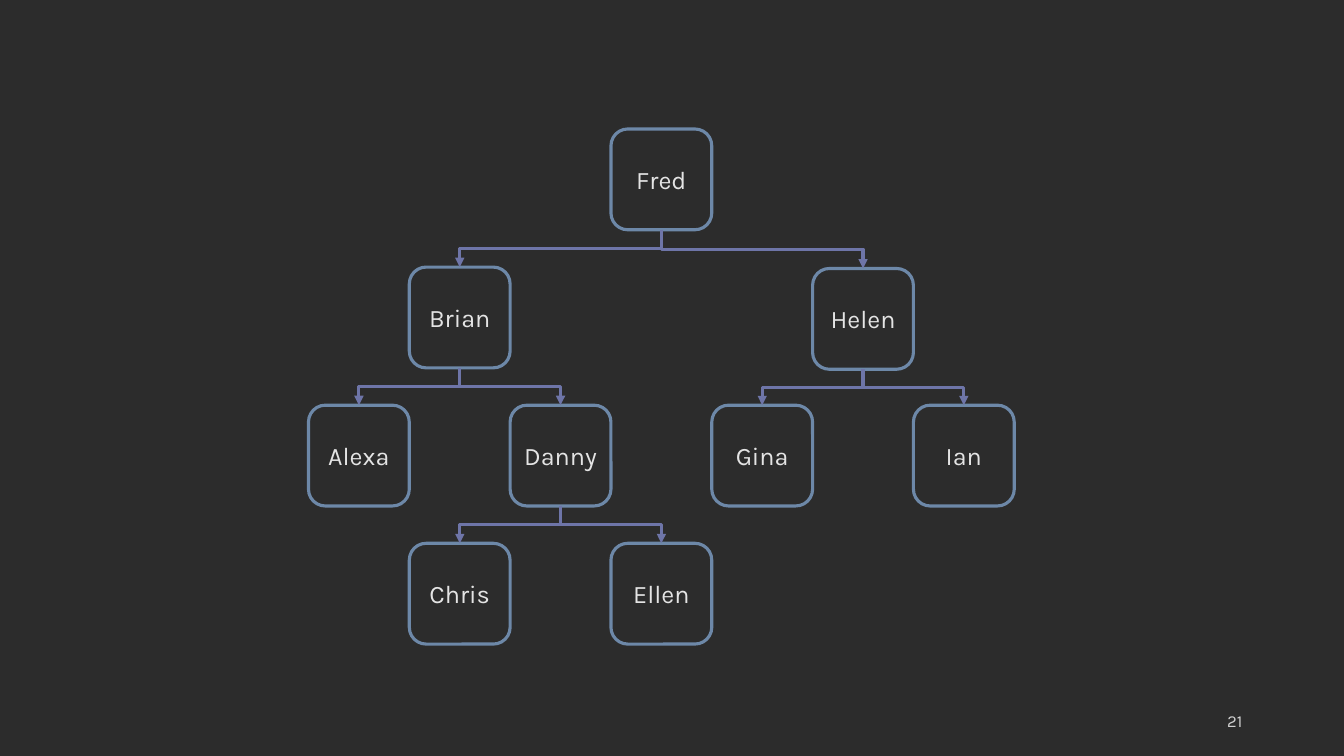
from lxml import etree
from pptx import Presentation, util as u
from pptx.dml.color import RGBColor
from pptx.enum import shapes, text
from pptx.oxml.ns import qn

BACKGROUND = RGBColor(0x2C, 0x2C, 0x2C)
NODE_LINE = RGBColor(0x6D, 0x88, 0xA8)
BRANCH_LINE = RGBColor(0x6E, 0x75, 0xA8)
NODE_TEXT = RGBColor(0xE4, 0xE4, 0xE4)
NUMBER_TEXT = RGBColor(0xD1, 0xD1, 0xD1)

LEFT, TOP = 3.06, 1.28
COLUMN, ROW, SIDE = 1.0, 1.37, 1.0
STROKE = u.Pt(2.25)

people = {
    "Alexa": (0, 2),
    "Brian": (1, 1),
    "Chris": (1, 3),
    "Danny": (2, 2),
    "Fred": (3, 0),
    "Ellen": (3, 3),
    "Gina": (4, 2),
    "Helen": (5, 1.01),
    "Ian": (6, 2),
}
children = {
    "Fred": ("Brian", "Helen"),
    "Brian": ("Alexa", "Danny"),
    "Danny": ("Chris", "Ellen"),
    "Helen": ("Gina", "Ian"),
}


def write(holder, words, align, size, color):
    frame = holder.text_frame
    frame.word_wrap = True
    frame.vertical_anchor = text.MSO_ANCHOR.MIDDLE
    line = frame.paragraphs[0]
    line.text = words
    line.alignment = align
    for key, value in {"name": "Karla", "size": u.Pt(size)}.items():
        setattr(line.runs[0].font, key, value)
    line.runs[0].font.color.rgb = color
    return frame


deck = Presentation()
deck.slide_width, deck.slide_height = u.Inches(13.33), u.Inches(7.5)
slide = deck.slides.add_slide(deck.slide_layouts[6])
slide.background.fill.solid()
slide.background.fill.fore_color.rgb = BACKGROUND

page_number = slide.shapes.add_textbox(
    u.Inches(9.42), u.Inches(6.95), u.Inches(3), u.Inches(0.4))
write(page_number, "21", text.PP_ALIGN.RIGHT, 12, NUMBER_TEXT)

nodes = {}
for person, (column, row) in people.items():
    node = slide.shapes.add_shape(
        shapes.MSO_SHAPE.ROUNDED_RECTANGLE,
        u.Inches(LEFT + column * COLUMN), u.Inches(TOP + row * ROW),
        u.Inches(SIDE), u.Inches(SIDE))
    node.shadow.inherit = False
    node.fill.background()
    node.line.color.rgb = NODE_LINE
    node.line.width = STROKE
    frame = write(node, person, text.PP_ALIGN.CENTER, 18, NODE_TEXT)
    for side in ("left", "top", "right", "bottom"):
        setattr(frame, f"margin_{side}", 0)
    nodes[person] = node

for parent, pair in children.items():
    for child in pair:
        start, end = nodes[parent], nodes[child]
        drop = end.top - start.top - start.height
        spread = abs(end.left - start.left)
        middle_x = (start.left + end.left + start.width) // 2
        middle_y = (start.top + start.height + end.top) // 2
        branch = slide.shapes.add_connector(
            shapes.MSO_CONNECTOR.ELBOW, 0, 0, drop, spread)
        branch.begin_connect(start, 2)
        branch.end_connect(end, 0)
        placement = {
            "left": middle_x - drop // 2,
            "top": middle_y - spread // 2,
            "width": drop,
            "height": spread,
        }
        for key, value in placement.items():
            setattr(branch, key, value)
        goes_right = end.left > start.left
        properties = branch.element.spPr
        turn = properties.find(qn("a:xfrm"))
        turn.set("rot", str((270 if goes_right else 90) * 60000))
        turn.set("flipH", "1" if goes_right else "0")
        turn.set("flipV", "0")
        branch.line.color.rgb = BRANCH_LINE
        branch.line.width = STROKE
        etree.SubElement(properties.find(qn("a:ln")), qn("a:tailEnd"), type="triangle")
        etree.SubElement(properties, qn("a:effectLst"))

deck.save("out.pptx")
